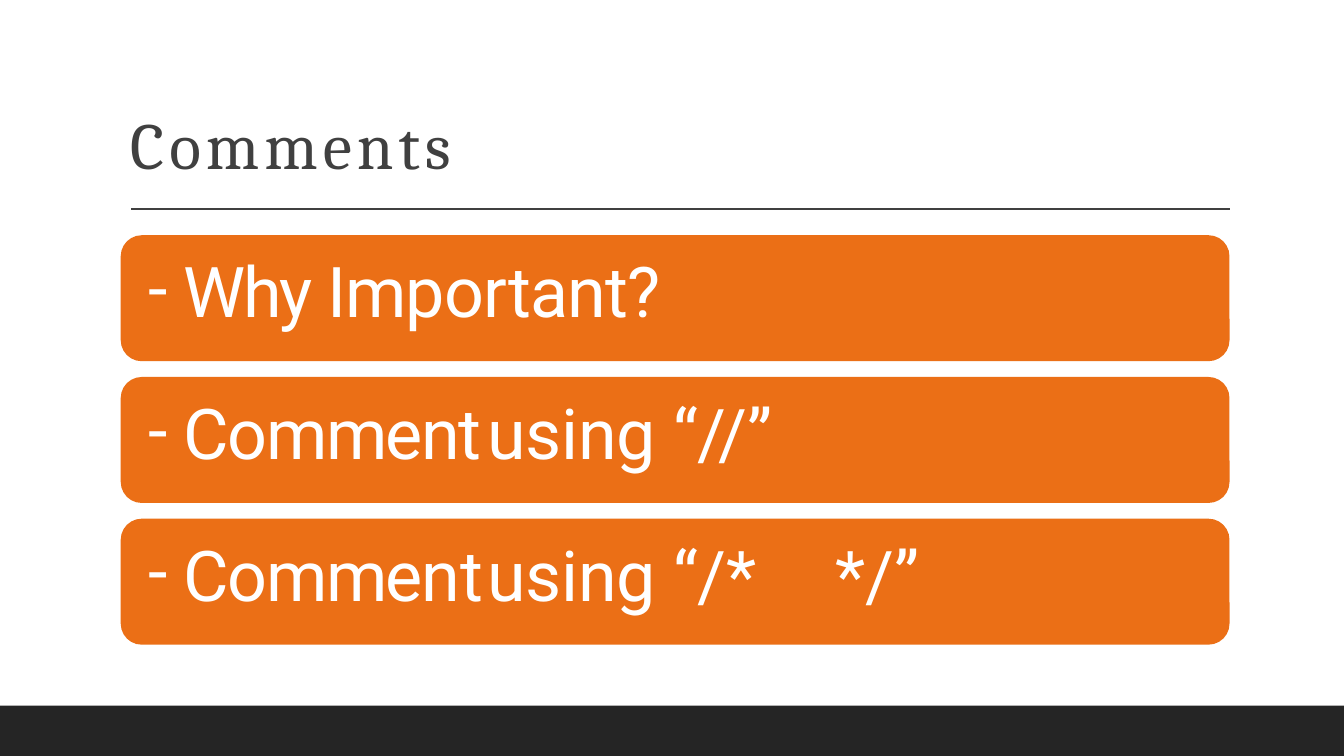
from dataclasses import dataclass

from lxml.etree import SubElement
from pptx import Presentation
from pptx.dml.color import RGBColor
from pptx.enum.shapes import MSO_CONNECTOR, MSO_SHAPE
from pptx.oxml.ns import qn
from pptx.util import Pt

PX = 9525  # EMU per px, 96 px to the inch


@dataclass(frozen=True)
class Theme:
    dark: RGBColor = RGBColor.from_string("404040")
    footer: RGBColor = RGBColor.from_string("252525")
    orange: RGBColor = RGBColor.from_string("EB6F16")
    white: RGBColor = RGBColor.from_string("FFFFFF")
    title_font: str = "Cambria"
    body_font: str = "Roboto"
    title_size: int = 47
    body_size: int = 50


theme = Theme()

deck = Presentation()
deck.slide_width, deck.slide_height = 1280 * PX, 720 * PX
slide = deck.slides.add_slide(deck.slide_layouts[6])
shapes = slide.shapes


def add_block(preset, left, top, width, height, color):
    block = shapes.add_shape(preset, left * PX, top * PX, width * PX, height * PX)
    block.shadow.inherit = False
    block.fill.solid()
    block.fill.fore_color.rgb = color
    block.line.fill.background()
    return block


def add_run(paragraph, text, font_name, size, color, spacing):
    """Add a run; spacing is the extra space between letters in points."""
    run = paragraph.add_run()
    run.text = text
    run.font.name = font_name
    run.font.size = Pt(size)
    run.font.color.rgb = color
    run._r.get_or_add_rPr().set("spc", str(round(spacing * 100)))


add_block(MSO_SHAPE.RECTANGLE, 0, 672, 1280, 48, theme.footer)

title_rule = shapes.add_connector(
    MSO_CONNECTOR.STRAIGHT, 125 * PX, 199 * PX, 1171 * PX, 199 * PX
)
title_rule.line.color.rgb = theme.dark
title_rule.line.width = Pt(1)
SubElement(title_rule._element.spPr, qn("a:effectLst"))

BAR_HEIGHT, BAR_PITCH, BAR_RADIUS = 120, 135, 20
for row in range(3):
    bar = add_block(MSO_SHAPE.ROUNDED_RECTANGLE, 115, 224 + row * BAR_PITCH,
                    1056, BAR_HEIGHT, theme.orange)
    bar.adjustments[0] = BAR_RADIUS / BAR_HEIGHT

title = shapes.add_textbox(124 * PX, 98 * PX, 328 * PX, 78 * PX)
topics = shapes.add_textbox(140 * PX, 235 * PX, 753 * PX, 352 * PX)
for frame in (title.text_frame, topics.text_frame):
    frame.word_wrap = True
    frame.margin_left = frame.margin_right = frame.margin_bottom = 0
    frame.margin_top = PX

heading = title.text_frame.paragraphs[0]
heading.space_before = Pt(1.1)
add_run(heading, "Comments", theme.title_font, theme.title_size, theme.dark, 3.6)

# Each topic: space before, tab stops in px, runs with their letter spacing
HANGING = 34
topic_lines = [
    (1.1, [35], [("Why ", -1.9), ("Important?", -0.6)]),
    (41.1, [35, 324], [("Comment\t", -1.1), ("using ", -0.2), ("“//”", 0)]),
    (41.2, [35, 324, 656], [("Commen", -1.1), ("t\t", -0.6), ("usin", -0.2),
                            ("g ", -0.3), ("“/*\t", 0), ("*/”", -0.1)]),
]
for index, (space_before, tab_stops, pieces) in enumerate(topic_lines):
    frame = topics.text_frame
    topic = frame.add_paragraph() if index else frame.paragraphs[0]
    topic.space_before = Pt(space_before)
    properties = topic._p.get_or_add_pPr()
    properties.set("marL", str(35 * PX))
    properties.set("indent", str(-HANGING * PX))
    SubElement(properties, qn("a:buFont"), typeface=theme.body_font)
    SubElement(properties, qn("a:buChar"), char="-")
    tab_list = SubElement(properties, qn("a:tabLst"))
    for stop in tab_stops:
        SubElement(tab_list, qn("a:tab"), pos=str(stop * PX), algn="l")
    for text, spacing in pieces:
        add_run(topic, text, theme.body_font, theme.body_size, theme.white, spacing)

deck.save("out.pptx")
